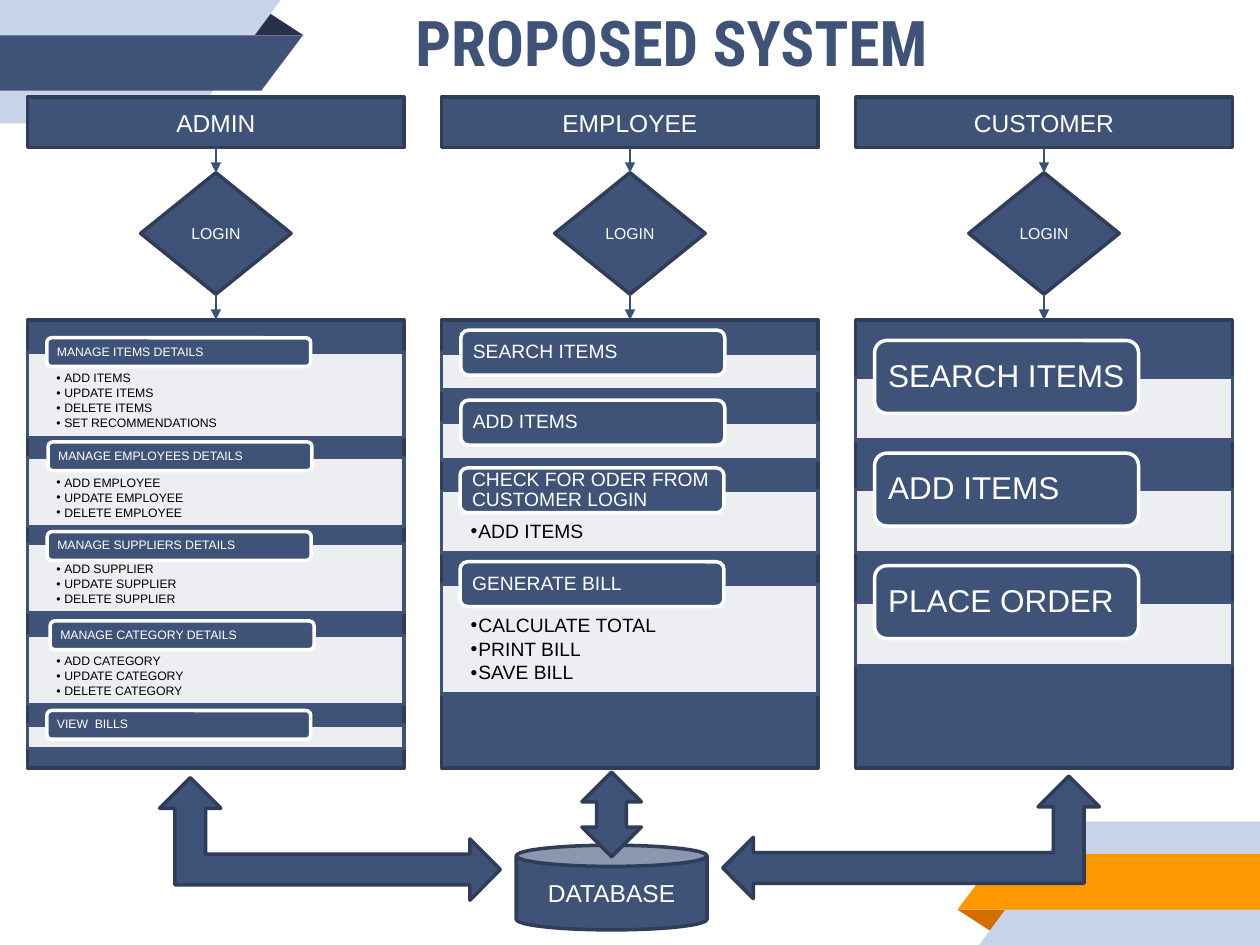
"""Build the proposed system slide with its three user flows and shared database."""
from lxml.etree import SubElement
from pptx import Presentation
from pptx.dml.color import RGBColor
from pptx.enum.shapes import MSO_CONNECTOR, MSO_SHAPE
from pptx.enum.text import MSO_ANCHOR, MSO_AUTO_SIZE, PP_ALIGN
from pptx.oxml.ns import qn
from pptx.util import Pt

NAVY = RGBColor(0x3F, 0x53, 0x78)
EDGE = RGBColor(0x2F, 0x3D, 0x59)
WIRE = RGBColor(0x3C, 0x51, 0x77)
DARK = RGBColor(0x26, 0x32, 0x48)
PALE = RGBColor(0xC7, 0xD3, 0xE6)
AMBER = RGBColor(0xFF, 0x98, 0x00)
RUST = RGBColor(0xD2, 0x6F, 0x00)
WHITE = RGBColor(0xFF, 0xFF, 0xFF)
BLACK = RGBColor(0x00, 0x00, 0x00)

deck = Presentation()
deck.slide_width, deck.slide_height = Pt(720), Pt(540)
slide = deck.slides.add_slide(deck.slide_layouts[5])


def draw(kind, left, top, width, height, fill=NAVY, line=EDGE):
    shape = slide.shapes.add_shape(kind, Pt(left), Pt(top), Pt(width), Pt(height))
    shape.shadow.inherit = False
    shape.fill.solid()
    shape.fill.fore_color.rgb = fill
    if line is None:
        shape.line.fill.background()
    else:
        shape.line.color.rgb = line
        shape.line.width = Pt(2)
    return shape


def write(shape, *lines, size=14, color=WHITE, font="Arial", bold=False,
          align=PP_ALIGN.CENTER, anchor=MSO_ANCHOR.MIDDLE,
          inset=(7.2, 3.6, 7.2, 3.6), ratio=1.0, after=0, bullet=False):
    frame = shape.text_frame
    frame.word_wrap = True
    frame.auto_size = MSO_AUTO_SIZE.NONE
    frame.vertical_anchor = anchor
    frame.margin_left, frame.margin_top, frame.margin_right, frame.margin_bottom = map(Pt, inset)
    for i, line in enumerate(lines):
        para = frame.add_paragraph() if i else frame.paragraphs[0]
        para.add_run().text = line
        para.alignment = align
        para.line_spacing = ratio
        para.space_after = Pt(after)
        if bullet:
            props = para._p.get_or_add_pPr()
            props.set("marL", str(Pt(4.5)))
            props.set("indent", str(Pt(-4.5)))
            SubElement(props, qn("a:buFont")).set("typeface", font)
            SubElement(props, qn("a:buChar")).set("char", "•")
        para.font.size = Pt(size)
        para.font.name = font
        para.font.bold = bold
        para.font.color.rgb = color


ribbons = [
    (MSO_SHAPE.ISOSCELES_TRIANGLE, 142.5, 6.5, 31, 13.7, DARK, 0, None),
    (MSO_SHAPE.RECTANGLE, 0, 0, 108, 70.5, PALE, 0, None),
    (MSO_SHAPE.RIGHT_TRIANGLE, 108, 0, 52.5, 70.5, PALE, 0, "flipV"),
    (MSO_SHAPE.RECTANGLE, 0, 20.2, 149.5, 31.7, NAVY, 0, None),
    (MSO_SHAPE.RIGHT_TRIANGLE, 149.3, 20.2, 23.8, 31.7, NAVY, 0, "flipV"),
    (MSO_SHAPE.ISOSCELES_TRIANGLE, 547.2, 519.8, 31, 13.7, RUST, 180, None),
    (MSO_SHAPE.RECTANGLE, 612, 469.5, 108, 70.5, PALE, 0, None),
    (MSO_SHAPE.RIGHT_TRIANGLE, 559.5, 469.5, 52.5, 70.5, PALE, 0, "flipH"),
    (MSO_SHAPE.RECTANGLE, 570.8, 488, 149.2, 31.8, AMBER, 0, None),
    (MSO_SHAPE.RIGHT_TRIANGLE, 547.2, 488, 23.8, 31.8, AMBER, 0, "flipH"),
]
for kind, left, top, width, height, fill, turn, flip in ribbons:
    part = draw(kind, left, top, width, height, fill, None)
    part.rotation = turn
    if flip:
        part._element.spPr.xfrm.set(flip, "1")
    if kind == MSO_SHAPE.ISOSCELES_TRIANGLE:
        part.adjustments[0] = 0.32

title = slide.shapes.title
title.left, title.top, title.width, title.height = Pt(224), Pt(-1.4), Pt(356.4), Pt(51)
write(title, "PROPOSED SYSTEM", size=36, color=NAVY, font="Roboto Condensed", bold=True,
      align=PP_ALIGN.LEFT, anchor=MSO_ANCHOR.TOP, inset=(13.4, 3.6, 7.2, 3.6))

store = draw(MSO_SHAPE.CAN, 295, 483, 109, 48.4)
write(store, "DATABASE")

roles = [
    ("ADMIN", 7, 16.4, 5, 11.2, [
        (201.5, 48.7, 11, 193, "MANAGE ITEMS DETAILS",
         ["ADD ITEMS", "UPDATE ITEMS", "DELETE ITEMS", "SET RECOMMENDATIONS"]),
        (261.3, 39.5, 11.7, 252.5, "MANAGE EMPLOYEES DETAILS",
         ["ADD EMPLOYEE", "UPDATE EMPLOYEE", "DELETE EMPLOYEE"]),
        (310.6, 39.5, 11.2, 303.8, "MANAGE SUPPLIERS DETAILS",
         ["ADD SUPPLIER", "UPDATE SUPPLIER", "DELETE SUPPLIER"]),
        (363.2, 39.5, 12.9, 354.8, "MANAGE CATEGORY DETAILS",
         ["ADD CATEGORY", "UPDATE CATEGORY", "DELETE CATEGORY"]),
        (414.3, 13.5, 11, 406, "VIEW  BILLS", []),
    ]),
    ("EMPLOYEE", 11, 25.6, 5.6, 18, [
        (201.6, 21.4, 11, 188.7, "SEARCH ITEMS", []),
        (241.4, 21.4, 11, 228.7, "ADD ITEMS", []),
        (280.3, 35.7, 10.5, 267.4, "CHECK FOR ODER FROM CUSTOMER LOGIN", ["ADD ITEMS"]),
        (334, 62.6, 10.5, 321, "GENERATE BILL",
         ["CALCULATE TOTAL", "PRINT BILL", "SAVE BILL"]),
    ]),
    ("CUSTOMER", 18, 41.6, 5.7, 18, [
        (215.4, 36, 10.8, 194.6, "SEARCH ITEMS", []),
        (279.8, 36, 10.8, 259, "ADD ITEMS", []),
        (344.2, 36, 10.8, 323.3, "PLACE ORDER", []),
    ]),
]
for i, (role, size, high, pad, drop, tasks) in enumerate(roles):
    left, width = 15.8 + 236.6 * i, 215.2
    head = draw(MSO_SHAPE.RECTANGLE, left, 55.4, width, 29)
    write(head, role)
    gate = draw(MSO_SHAPE.DIAMOND, left + (width - 86) / 2, 98.7, 86, 69.4)
    write(gate, "LOGIN", size=9)
    panel = draw(MSO_SHAPE.RECTANGLE, left, 182.8, width, 256)

    for start, end in ((head, gate), (gate, panel)):
        wire = slide.shapes.add_connector(MSO_CONNECTOR.STRAIGHT, 0, 0, 0, 0)
        wire.begin_connect(start, 2)
        wire.end_connect(end, 0)
        wire.line.color.rgb = WIRE
        wire.line.width = Pt(0.75)
        SubElement(wire.line._get_or_add_ln(), qn("a:tailEnd")).set("type", "triangle")
        SubElement(wire._element.spPr, qn("a:effectLst"))

    for top, tall, shift, rise, name, steps in tasks:
        band = draw(MSO_SHAPE.RECTANGLE, left, top, width, tall, WHITE, NAVY)
        tint = band._element.spPr.find(qn("a:solidFill"))[0]
        SubElement(tint, qn("a:alpha")).set("val", "90000")
        if steps:
            write(band, *steps, size=size, color=BLACK, align=PP_ALIGN.LEFT,
                  anchor=MSO_ANCHOR.TOP, inset=(16.5, drop, 16.5, 3.6),
                  ratio=0.9, after=size * 0.15, bullet=True)
        pill = draw(MSO_SHAPE.ROUNDED_RECTANGLE, left + shift, rise, 150.8, high, NAVY, WHITE)
        write(pill, name, size=size, align=PP_ALIGN.LEFT, inset=(pad, 0, 0, 0), ratio=0.9)

draw(MSO_SHAPE.UP_DOWN_ARROW, 332.5, 441.2, 34, 48.4)
draw(MSO_SHAPE.LEFT_UP_ARROW, 153.6, 382, 70, 194.8).rotation = 90
draw(MSO_SHAPE.LEFT_UP_ARROW, 413, 443.5, 215.2, 70)

deck.save("out.pptx")
